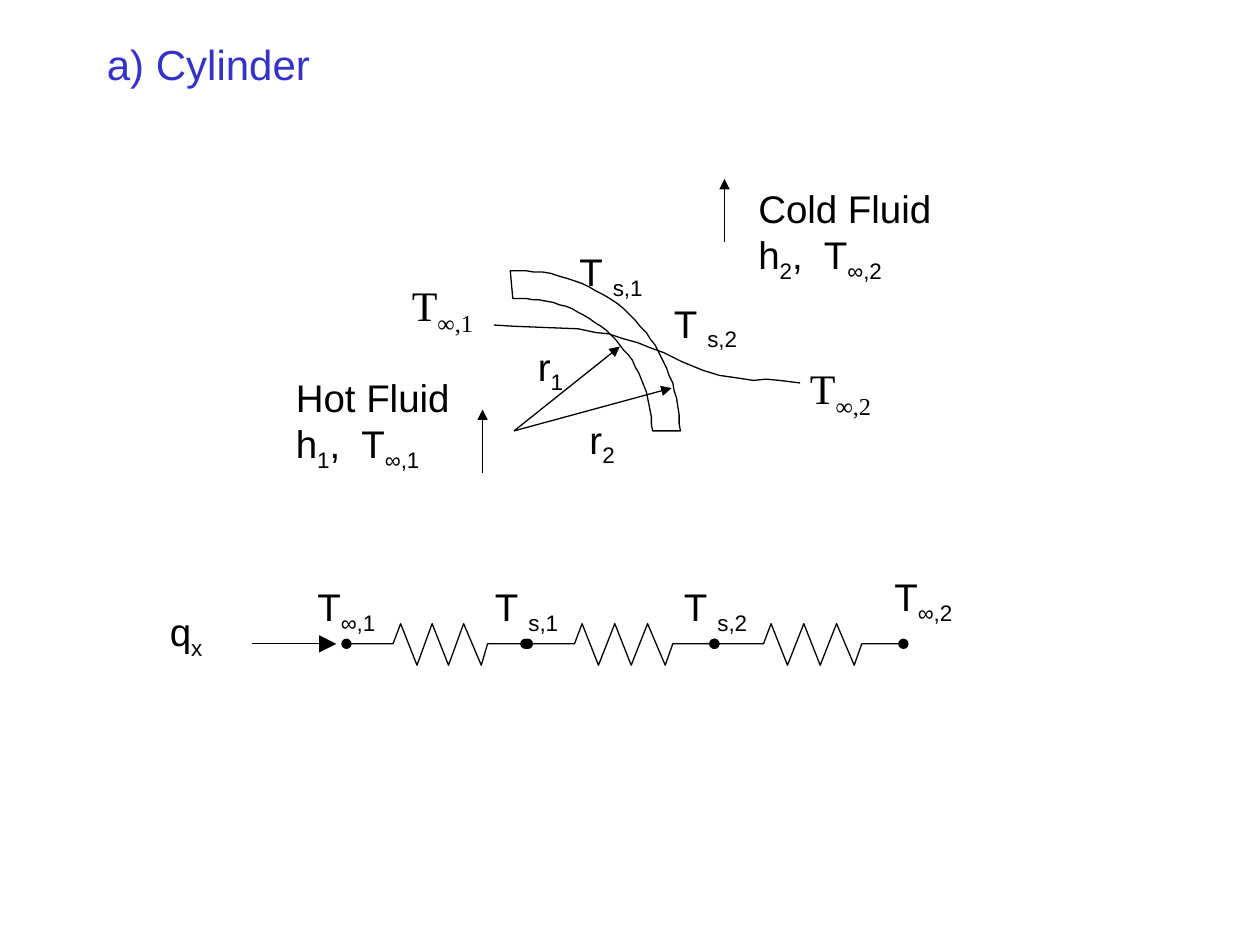
"""Build the cylinder slide: wall section above its thermal resistance circuit."""
from dataclasses import dataclass
from math import cos, radians, sin

from lxml.etree import SubElement
from pptx import Presentation
from pptx.dml.color import RGBColor
from pptx.enum.shapes import MSO_CONNECTOR
from pptx.enum.text import MSO_ANCHOR, MSO_AUTO_SIZE
from pptx.oxml.ns import qn
from pptx.util import Pt

EMU_PER_PX = 9144
COLORS = {"ink": "000000", "title": "3333CC"}
CIRCUIT_Y = 511
RESISTOR_WIDTH = 150
RESISTOR_OFFSETS = (0, 39, 45, 58, 71, 84, 97, 111, 117, 150)
RESISTOR_LEVELS = (511, 511, 495, 528, 495, 528, 495, 528, 511, 511)
TEMPERATURE_CURVE = (
    (392, 258), (408, 259), (459, 261), (473, 264), (483, 265), (495, 269),
    (506, 272), (516, 276), (527, 280), (541, 287), (558, 294), (571, 298),
    (585, 300), (598, 302), (608, 301), (619, 302), (635, 304),
)


@dataclass(frozen=True)
class Label:
    """Text whose subscripts stand between underscores."""
    text: str
    left: int
    top: int
    width: int
    height: int = 47
    size: int = 22
    font: str = "Arial"
    color: str = "ink"
    wrap: bool = False


@dataclass(frozen=True)
class Arrow:
    """A straight arrow with its head at the end point."""
    start: tuple[int, int]
    end: tuple[int, int]
    head: str = "med"


@dataclass(frozen=True)
class Resistor:
    """A zigzag resistor between two circuit nodes."""
    left: int
    width: int = RESISTOR_WIDTH


ARROWS = (
    Arrow((408, 342), (492, 275)),
    Arrow((408, 342), (533, 308)),
    Arrow((383, 375), (383, 325)),
    Arrow((575, 192), (575, 142)),
    Arrow((200, CIRCUIT_Y), (267, CIRCUIT_Y), "lg"),
)
RESISTORS = (Resistor(275, 144), Resistor(417), Resistor(567))
LABELS = (
    Label("Hot Fluid\nh_1_, __T_∞,1_", 225, 292, 143, 83),
    Label("Cold Fluid\nh_2_, __T_∞,2_", 592, 142, 158, 83),
    Label("T _s,2_", 525, 233, 75),
    Label("T _s,1_", 450, 192, 75),
    Label("r_1_", 417, 267, 42),
    Label("r_2_", 458, 325, 42),
    Label("T_∞,1_", 317, 217, 73, 50, 24, "Times New Roman"),
    Label("T_∞,2_", 633, 283, 73, 50, 24, "Times New Roman"),
    Label("q_x_", 125, 478, 60, wrap=True),
    Label("T_∞,1_", 242, 458, 71),
    Label("T _s,1_", 383, 458, 75),
    Label("T _s,2_", 533, 458, 75),
    Label("T_∞,2_", 700, 450, 71),
)
TITLE = Label("a) Cylinder", 75, 17, 850, 67, 24, color="title", wrap=True)


def px(value: int) -> int:
    """Turn px into EMU."""
    return value * EMU_PER_PX


def style_line(shape, **ends: str) -> None:
    """Give a thin black line, with optional line ends as 'type size'."""
    shape.line.width = Pt(0.75)
    shape.line.color.rgb = RGBColor.from_string(COLORS["ink"])
    line = shape._element.spPr.find(qn("a:ln"))
    for tag, end in ends.items():
        kind, size = end.split()
        SubElement(line, qn(f"a:{tag}"), type=kind, w=size, len=size)


def draw_path(slide, points, close: bool = False, **ends: str) -> None:
    """Draw an unfilled outline through the points."""
    builder = slide.shapes.build_freeform(*points[0], scale=EMU_PER_PX)
    builder.add_line_segments(points[1:], close=close)
    shape = builder.convert_to_shape()
    shape.fill.background()
    shape.shadow.inherit = False
    style_line(shape, **ends)


def arc(radius: int, start: float, steps: int = 32) -> list[tuple[int, int]]:
    """List points on the wall from the top round to the right side."""
    angles = [radians(start + (90 - start) * step / steps) for step in range(steps + 1)]
    return [(round(412.5 + radius * sin(angle), 2), round(342 - radius * cos(angle), 2))
            for angle in angles]


def draw_arrow(slide, arrow: Arrow) -> None:
    """Draw one arrow as a connector."""
    connector = slide.shapes.add_connector(
        MSO_CONNECTOR.STRAIGHT, *map(px, arrow.start + arrow.end))
    style_line(connector, tailEnd=f"triangle {arrow.head}")
    SubElement(connector._element.spPr, qn("a:effectLst"))


def draw_resistor(slide, resistor: Resistor) -> None:
    """Draw one resistor with a dot at each node."""
    xs = [resistor.left + round(offset * resistor.width / RESISTOR_WIDTH)
          for offset in RESISTOR_OFFSETS]
    draw_path(slide, list(zip(xs, RESISTOR_LEVELS)),
              headEnd="oval med", tailEnd="oval med")


def draw_label(slide, label: Label, anchor: MSO_ANCHOR = MSO_ANCHOR.TOP,
               fit: MSO_AUTO_SIZE = MSO_AUTO_SIZE.SHAPE_TO_FIT_TEXT) -> None:
    """Draw one label, lowering its subscripts and widening the comma gap."""
    box = slide.shapes.add_textbox(
        *map(px, (label.left, label.top, label.width, label.height)))
    text_frame = box.text_frame
    text_frame.word_wrap = label.wrap
    text_frame.auto_size = fit
    text_frame.vertical_anchor = anchor
    for index, line in enumerate(label.text.split("\n")):
        paragraph = text_frame.add_paragraph() if index else text_frame.paragraphs[0]
        for position, part in enumerate(line.split("_")):
            if not part:
                continue
            run = paragraph.add_run()
            run.text = part
            run.font.size = Pt(label.size)
            run.font.name = label.font
            run.font.color.rgb = RGBColor.from_string(COLORS[label.color])
            properties = run._r.get_or_add_rPr()
            if position % 2:
                properties.set("baseline", "-25000")
            if part == ", ":
                properties.set("spc", "300")


def main() -> None:
    """Build and save the slide."""
    presentation = Presentation()
    presentation.slide_width, presentation.slide_height = px(1000), px(750)
    slide = presentation.slides.add_slide(presentation.slide_layouts[6])
    draw_path(slide, arc(105, -3) + arc(127, -3.5)[::-1], close=True)
    draw_path(slide, TEMPERATURE_CURVE)
    for arrow in ARROWS:
        draw_arrow(slide, arrow)
    for resistor in RESISTORS:
        draw_resistor(slide, resistor)
    for label in LABELS:
        draw_label(slide, label)
    draw_label(slide, TITLE, MSO_ANCHOR.MIDDLE, MSO_AUTO_SIZE.NONE)
    presentation.save("out.pptx")


if __name__ == "__main__":
    main()
